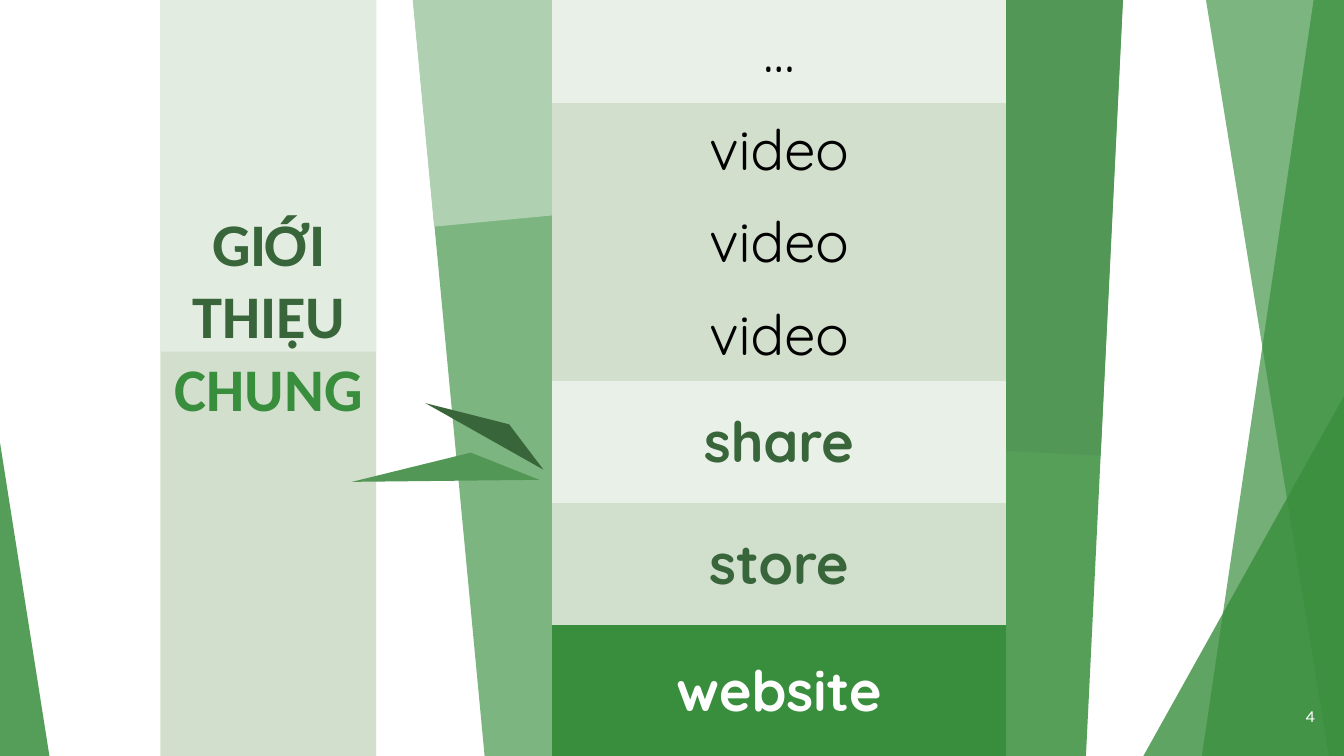
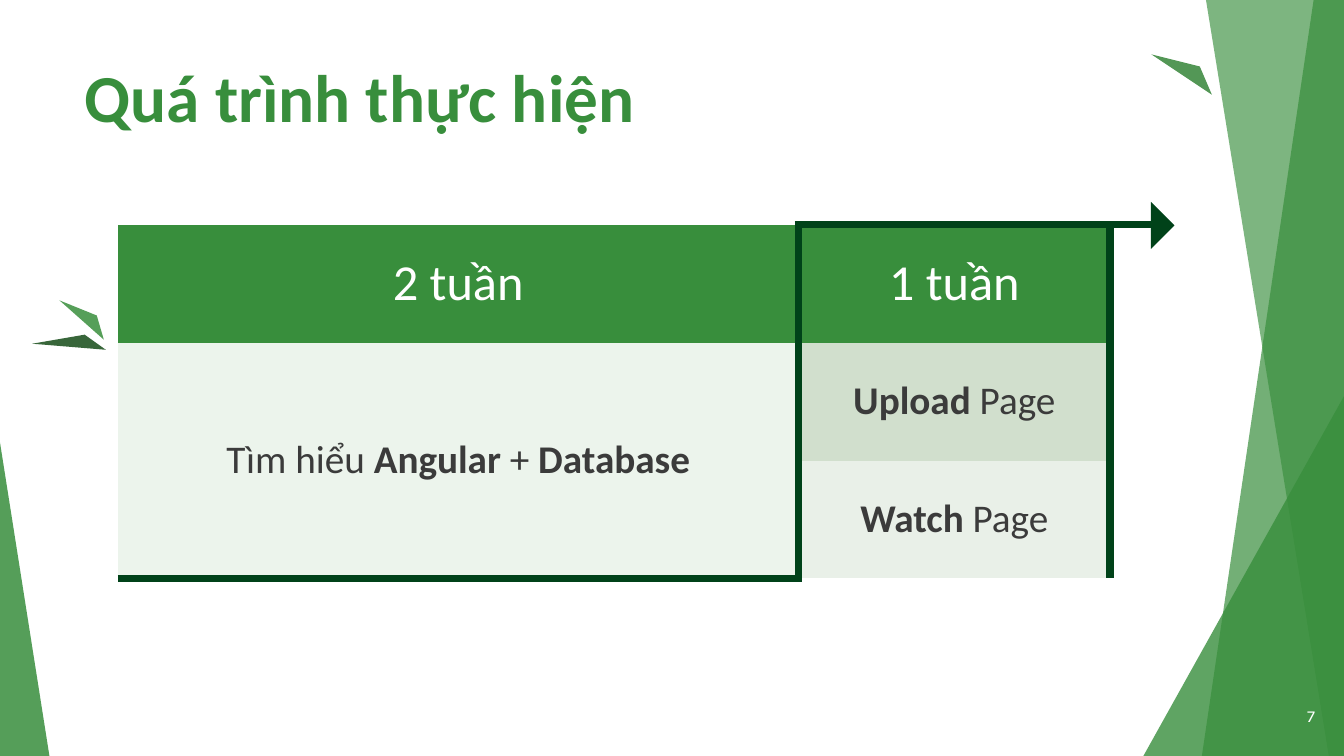
from dataclasses import dataclass, field
from typing import Any

import lxml.etree as etree
import pptx
import pptx.dml.color
import pptx.enum.shapes
import pptx.enum.text
import pptx.oxml.ns
import pptx.util

Inches = pptx.util.Inches
Pt = pptx.util.Pt
qn = pptx.oxml.ns.qn
PRESET = pptx.enum.shapes.MSO_SHAPE
ALIGN = pptx.enum.text.PP_ALIGN
ANCHOR = pptx.enum.text.MSO_ANCHOR

WIDTH, HEIGHT = 13.33, 7.5
PLAIN_TABLE_STYLE = "{2D5ABB26-0587-4C30-8999-92F81FD0307C}"
BORDER_TAGS = {"left": "a:lnL", "right": "a:lnR", "top": "a:lnT", "bottom": "a:lnB"}
BORDER_POINTS = 6

COLOURS = {
    "green": "388E3C",
    "forest": "38663A",
    "route": "004219",
    "leaf": "569F59",
    "fern": "539756",
    "sage": "7DB580",
    "mint": "AFD1B1",
    "moss": "D1DFCC",
    "moss_cell": "D1DFCD",
    "mist": "E3ECE0",
    "pale": "E9F0E8",
    "frost": "ECF4EC",
    "ink": "3B3B3B",
    "black": "000000",
    "white": "FFFFFF",
}


@dataclass(frozen=True)
class Span:
    text: str
    colour: str
    size: float
    font: str = "Calibri"
    bold: bool = False


@dataclass(frozen=True)
class Polygon:
    colour: str
    points: list[tuple[float, float]]
    opacity: int = 100


@dataclass(frozen=True)
class Preset:
    kind: Any
    colour: str
    box: tuple[float, float, float, float]
    rotation: float = 0
    opacity: int = 100
    adjustment: float | None = None


@dataclass(frozen=True)
class Cell:
    spans: list[Span] = field(default_factory=list)
    fill: str | None = None
    borders: tuple[str, ...] = ()


BACKDROP = [
    Polygon("green", [(13.03, -0.01), (WIDTH, -0.01), (WIDTH, HEIGHT), (11.92, HEIGHT)], 70),
    Polygon("green", [(11.96, -0.01), (WIDTH, -0.01), (WIDTH, HEIGHT), (13.18, HEIGHT)], 65),
    Preset(PRESET.ISOSCELES_TRIANGLE, "green", (11.34, 3.93, 1.99, 3.57), opacity=80, adjustment=1),
    Preset(PRESET.ISOSCELES_TRIANGLE, "green", (0, 4.39, 0.49, 3.11), opacity=85, adjustment=0),
]

STRIPS = [
    Preset(PRESET.RECTANGLE, "leaf", (9.17, -0.11, 1.78, 7.86), 2.8),
    Preset(PRESET.RECTANGLE, "fern", (9.25, -0.15, 1.78, 4.63), 2.8),
    Preset(PRESET.RECTANGLE, "sage", (4.46, -0.21, 1.78, 8.01), 354.6),
    Preset(PRESET.RECTANGLE, "mint", (4.19, -0.22, 1.78, 2.39), 354.6),
    Preset(PRESET.RECTANGLE, "moss", (1.59, -0.21, 2.14, 8.01)),
    Preset(PRESET.RECTANGLE, "mist", (1.59, -0.21, 2.14, 3.7)),
]

STACK_SHARDS = [
    Polygon("forest", [(5.39, 4.66), (4.22, 4), (5.05, 4.21)]),
    Polygon("fern", [(5.35, 4.76), (3.49, 4.78), (4.67, 4.49)]),
]

SCHEDULE_SHARDS = [
    Preset(PRESET.RIGHT_TRIANGLE, "route", (11.25, 2.07, 0.33, 0.33), 225),
    Polygon("leaf", [(0.59, 2.98), (1.03, 3.37), (0.96, 3.13)]),
    Polygon("forest", [(0.32, 3.41), (1.05, 3.47), (0.84, 3.32)]),
    Polygon("fern", [(11.42, 0.54), (12.02, 0.94), (11.9, 0.66)]),
]


def rgb(name: str) -> pptx.dml.color.RGBColor:
    return pptx.dml.color.RGBColor.from_string(COLOURS[name])


def set_values(target: Any, values: dict[str, Any]) -> None:
    for name, value in values.items():
        setattr(target, name, value)


def write_spans(frame: Any, spans: list[Span], align: Any) -> None:
    para = frame.paragraphs[0]
    para.alignment = align
    for span in spans:
        run = para.add_run()
        run.text = span.text
        set_values(run.font, {"name": span.font, "size": Pt(span.size), "bold": span.bold})
        run.font.color.rgb = rgb(span.colour)


def paint(shape: Any, colour: str, opacity: int) -> None:
    shape.shadow.inherit = False
    shape.fill.solid()
    shape.fill.fore_color.rgb = rgb(colour)
    shape.line.fill.background()
    if opacity < 100:
        tint = shape.element.spPr.find(qn("a:solidFill")).find(qn("a:srgbClr"))
        etree.SubElement(tint, qn("a:alpha"), val=str(opacity * 1000))


def draw_polygon(page: Any, polygon: Polygon) -> None:
    corners = [(Inches(x), Inches(y)) for x, y in polygon.points]
    builder = page.shapes.build_freeform(*corners[0])
    builder.add_line_segments(corners[1:], close=True)
    paint(builder.convert_to_shape(), polygon.colour, polygon.opacity)


def draw_preset(page: Any, preset: Preset) -> None:
    shape = page.shapes.add_shape(preset.kind, *map(Inches, preset.box))
    shape.rotation = preset.rotation
    if preset.adjustment is not None:
        shape.adjustments[0] = preset.adjustment
    paint(shape, preset.colour, preset.opacity)


def draw_all(page: Any, items: list[Polygon | Preset]) -> None:
    for item in items:
        if isinstance(item, Polygon):
            draw_polygon(page, item)
        else:
            draw_preset(page, item)


def place_title(
    page: Any, box: tuple[float, float, float, float], spans: list[Span], align: Any
) -> None:
    """Format the title placeholder and bring it in front of what is drawn so far."""
    title = page.shapes.title
    set_values(title, dict(zip(("left", "top", "width", "height"), map(Inches, box))))
    set_values(title.text_frame, {
        "word_wrap": True,
        "auto_size": pptx.enum.text.MSO_AUTO_SIZE.NONE,
        "vertical_anchor": ANCHOR.TOP,
    })
    write_spans(title.text_frame, spans, align)
    title.element.getparent().append(title.element)


def add_page_number(page: Any, number: int) -> None:
    box = page.shapes.add_textbox(Inches(12.39), Inches(6.9), Inches(0.75), Inches(0.4))
    set_values(box.text_frame, {"word_wrap": True, "vertical_anchor": ANCHOR.MIDDLE})
    write_spans(box.text_frame, [Span(str(number), "white", 12, "Karla")], ALIGN.RIGHT)


def add_border(cell: Any, side: str) -> None:
    properties = cell._tc.get_or_add_tcPr()
    line = etree.SubElement(properties, qn(BORDER_TAGS[side]), w=str(Pt(BORDER_POINTS)))
    solid = etree.SubElement(line, qn("a:solidFill"))
    etree.SubElement(solid, qn("a:srgbClr"), val=COLOURS["route"])


def format_cell(cell: Any, content: Cell) -> None:
    for side in BORDER_TAGS:
        if side in content.borders:
            add_border(cell, side)
    if content.fill:
        cell.fill.solid()
        cell.fill.fore_color.rgb = rgb(content.fill)
    else:
        cell.fill.background()
    cell.vertical_anchor = ANCHOR.MIDDLE
    write_spans(cell.text_frame, content.spans, ALIGN.CENTER)


def add_grid(
    page: Any, left: float, top: float, widths: list[float], heights: list[float],
    rows: list[list[Cell]],
) -> Any:
    frame = page.shapes.add_table(
        len(heights), len(widths),
        Inches(left), Inches(top), Inches(sum(widths)), Inches(sum(heights)),
    )
    table = frame.table
    set_values(table, {"first_row": False, "horz_banding": False})
    next(frame.element.iter(qn("a:tableStyleId"))).text = PLAIN_TABLE_STYLE
    for column, width in zip(table.columns, widths):
        column.width = Inches(width)
    for row, height, contents in zip(table.rows, heights, rows):
        row.height = Inches(height)
        for cell, content in zip(row.cells, contents):
            format_cell(cell, content)
    return table


def start_page(deck: Any) -> Any:
    page = deck.slides.add_slide(deck.slide_layouts[5])
    draw_all(page, BACKDROP)
    return page


def build_stack_page(deck: Any) -> None:
    page = start_page(deck)
    draw_all(page, STRIPS)
    heading = [
        Span("GIỚI THIỆU ", "forest", 43.2, bold=True),
        Span("CHUNG", "green", 43.2, bold=True),
    ]
    place_title(page, (1.6, 1.99, 2.13, 2.71), heading, ALIGN.CENTER)
    add_page_number(page, 4)

    def layer(text: str, colour: str, fill: str, bold: bool = True) -> list[Cell]:
        return [Cell([Span(text, colour, 40, "Quicksand", bold)], fill)]

    layers = [
        layer("…", "black", "pale", False),
        *[layer("video", "black", "moss", False) for _ in range(3)],
        layer("share", "forest", "pale"),
        layer("store", "forest", "moss_cell"),
        layer("website", "white", "green"),
    ]
    add_grid(page, 5.47, 0, [4.51], [1.02, *[0.92] * 3, 1.21, 1.21, 1.3], layers)
    draw_all(page, STACK_SHARDS)


def build_schedule_page(deck: Any) -> None:
    page = start_page(deck)
    heading = [Span("Quá trình thực hiện", "green", 48, bold=True)]
    place_title(page, (0.74, 0.5, 9.4, 1.1), heading, ALIGN.LEFT)

    def period(text: str) -> list[Span]:
        return [Span(text, "white", 36)]

    def task(*parts: tuple[str, bool]) -> list[Span]:
        return [Span(text, "ink", 28, bold=bold) for text, bold in parts]

    study = task(("Tìm hiểu ", False), ("Angular", True), (" + ", False), ("Database", True))
    upload = task(("Upload", True), (" Page", False))
    watch = task(("Watch", True), (" Page", False))
    rows = [
        [Cell(period("2 tuần"), "green", ("right",)),
         Cell(period("1 tuần"), "green", ("left", "top")),
         Cell(borders=("top",))],
        [Cell(study, "frost", ("right", "bottom")),
         Cell(upload, "moss_cell", ("left",)), Cell()],
        [Cell(fill="frost", borders=("right", "bottom")),
         Cell(watch, "pale", ("left",)), Cell()],
    ]
    table = add_grid(page, 1.17, 2.23, [6.75, 3.09, 0.42], [1.17] * 3, rows)
    table.cell(1, 0).merge(table.cell(2, 0))
    add_page_number(page, 7)
    draw_all(page, SCHEDULE_SHARDS)


def main() -> None:
    deck = pptx.Presentation()
    set_values(deck, {"slide_width": Inches(WIDTH), "slide_height": Inches(HEIGHT)})
    build_stack_page(deck)
    build_schedule_page(deck)
    deck.save("out.pptx")


if __name__ == "__main__":
    main()
